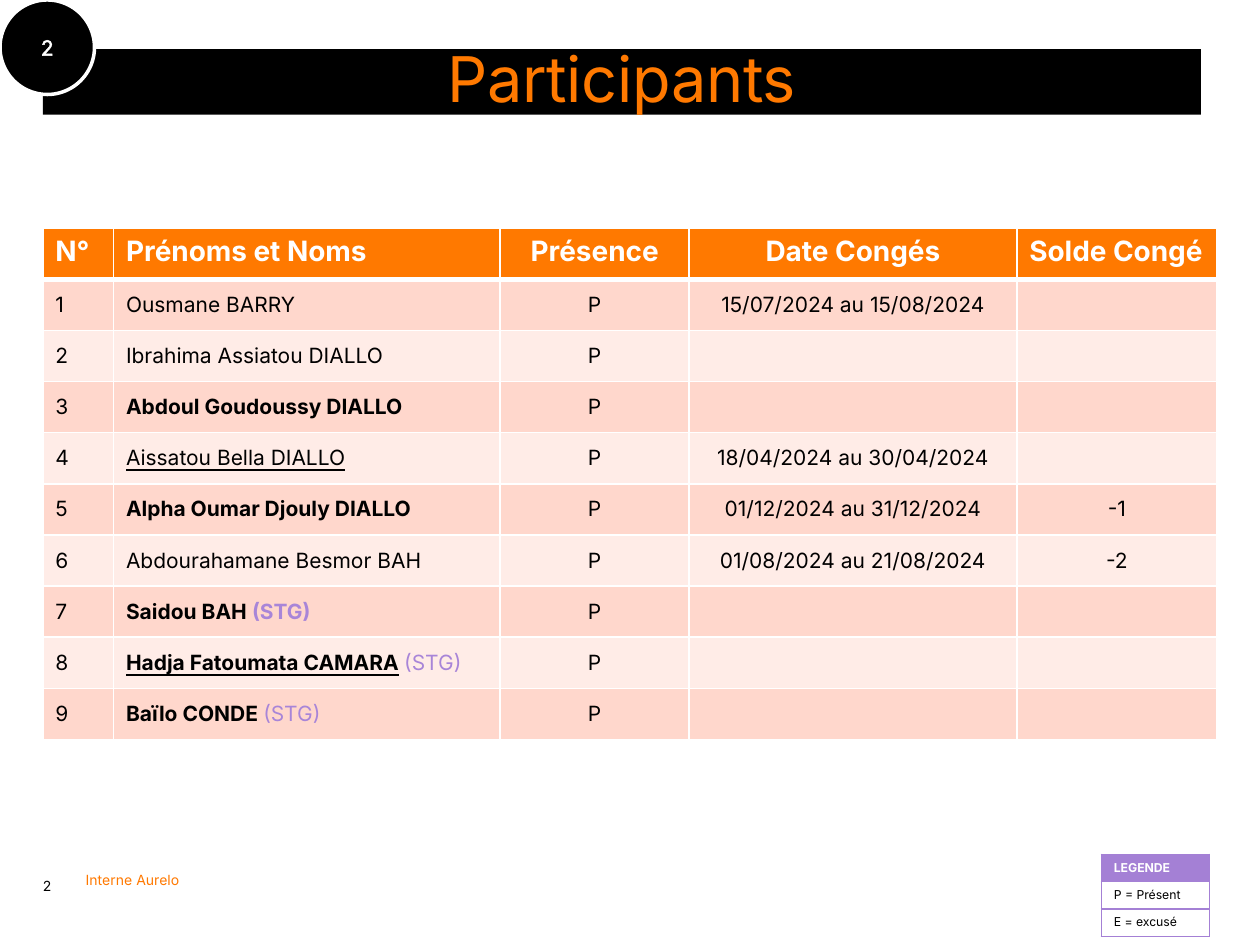
from lxml.etree import SubElement
from pptx import Presentation
from pptx.dml.color import RGBColor
from pptx.enum.shapes import MSO_SHAPE
from pptx.enum.text import MSO_ANCHOR, PP_ALIGN
from pptx.oxml import parse_xml
from pptx.oxml.ns import nsdecls, qn
from pptx.util import Inches, Pt

COLORS = {
    "black": "000000", "white": "FFFFFF", "orange": "FF7900",
    "dark_band": "FFD7CC", "light_band": "FFECE7",
    "trainee": "A885D8", "legend": "A480D5",
}


def add_run(paragraph, text, size, color="black", bold=False, underline=False):
    run = paragraph.add_run()
    run.text = text
    run.font.name = "Inter"
    run.font.size = Pt(size)
    run.font.bold = bold
    run.font.underline = underline
    run.font.color.rgb = RGBColor.from_string(COLORS[color])
    return run


def style_cell(cell, fill, border, width, bottom_width):
    properties = cell._tc.get_or_add_tcPr()
    for side in ("L", "R", "T", "B"):
        line = SubElement(properties, qn(f"a:ln{side}"))
        line.set("w", str(Pt(bottom_width if side == "B" else width)))
        line_fill = SubElement(line, qn("a:solidFill"))
        SubElement(line_fill, qn("a:srgbClr")).set("val", COLORS[border])
    if fill:
        cell.fill.solid()
        cell.fill.fore_color.rgb = RGBColor.from_string(COLORS[fill])
    else:
        cell.fill.background()


presentation = Presentation()
presentation.slide_width = Inches(10)
presentation.slide_height = Inches(7.5)
slide = presentation.slides.add_slide(presentation.slide_layouts[5])

title = slide.shapes.title
title.left, title.top = Inches(0.34), Inches(0.39)
title.width, title.height = Inches(9.19), Inches(0.52)
title.fill.solid()
title.fill.fore_color.rgb = RGBColor.from_string(COLORS["black"])
frame = title.text_frame
frame.margin_left = frame.margin_right = frame.margin_top = frame.margin_bottom = 0
frame.vertical_anchor = MSO_ANCHOR.MIDDLE
paragraph = frame.paragraphs[0]
paragraph.alignment = PP_ALIGN.CENTER
paragraph.line_spacing = 0.9
run = add_run(paragraph, "Participants", 36, "orange")
run.font._element.set("spc", "-20")

footers = [
    ("2", "black", 0.34, 6.61, 0.3, 0.49, MSO_ANCHOR.BOTTOM, 0.85, 12, True),
    ("Interne Aurelo", "orange", 0.68, 6.92, 0.81, 0.13, MSO_ANCHOR.TOP, 1, 0, False),
]
for text, color, left, top, width, height, anchor, spacing, after, wrap in footers:
    footer = slide.shapes.add_textbox(Inches(left), Inches(top), Inches(width), Inches(height))
    frame = footer.text_frame
    frame.word_wrap = wrap
    frame.margin_left = frame.margin_right = frame.margin_top = frame.margin_bottom = 0
    frame.vertical_anchor = anchor
    paragraph = frame.paragraphs[0]
    paragraph.line_spacing = spacing
    paragraph.space_after = Pt(after)
    add_run(paragraph, text, 8, color)

badge = slide.shapes.add_shape(MSO_SHAPE.OVAL, 0, 0, Inches(0.75), Inches(0.75))
badge.shadow.inherit = False
badge.fill.solid()
badge.fill.fore_color.rgb = RGBColor.from_string(COLORS["black"])
badge.line.color.rgb = RGBColor.from_string(COLORS["white"])
badge.line.width = Pt(2)
badge.text_frame.vertical_anchor = MSO_ANCHOR.MIDDLE
paragraph = badge.text_frame.paragraphs[0]
paragraph.alignment = PP_ALIGN.CENTER
run = add_run(paragraph, "2", 12, "white")
outline = parse_xml(
    f'<a:ln {nsdecls("a")} w="{Pt(0.75)}"><a:solidFill>'
    f'<a:srgbClr val="{COLORS["white"]}"/></a:solidFill></a:ln>'
)
run.font._element.insert(0, outline)

legend_lines = ["LEGENDE", "P = Présent", "E = excusé"]
legend = slide.shapes.add_table(
    len(legend_lines), 1, Inches(8.74), Inches(6.78), Inches(0.86), Inches(0.65)
).table
for index, text in enumerate(legend_lines):
    header = index == 0
    cell = legend.cell(index, 0)
    style_cell(cell, "legend" if header else None, "legend", 0.75, 0.75)
    add_run(cell.text_frame.paragraphs[0], text, 7, "white" if header else "black", header)

headers = ["N°", "Prénoms et Noms", "Présence", "Date Congés", "Solde Congé"]
column_widths = [0.56, 3.07, 1.5, 2.6, 1.59]
trainee = ("(STG)", "trainee")
participants = [
    ([("Ousmane BARRY",)], "15/07/2024 au 15/08/2024", ""),
    ([("Ibrahima Assiatou DIALLO",)], "", ""),
    ([("Abdoul Goudoussy DIALLO", "black", True)], "", ""),
    ([("Aissatou Bella DIALLO", "black", False, True)], "18/04/2024 au 30/04/2024", ""),
    ([("Alpha Oumar Djouly DIALLO", "black", True)], "01/12/2024 au 31/12/2024", "-1"),
    ([("Abdourahamane Besmor BAH",)], "01/08/2024 au 21/08/2024", "-2"),
    ([("Saidou BAH ", "black", True), (*trainee, True)], "", ""),
    ([("Hadja Fatoumata CAMARA", "black", True, True), (" ", "black", True), trainee], "", ""),
    ([("Baïlo CONDE ", "black", True), trainee], "", ""),
]
table = slide.shapes.add_table(
    len(participants) + 1, len(headers), Inches(0.34), Inches(1.81), Inches(9.31), Inches(4.06)
).table
for column, width in zip(table.columns, column_widths):
    column.width = Inches(width)

for column, text in enumerate(headers):
    cell = table.cell(0, column)
    style_cell(cell, "orange", "white", 1, 3)
    paragraph = cell.text_frame.paragraphs[0]
    if column in (2, 3):
        paragraph.alignment = PP_ALIGN.CENTER
    add_run(paragraph, text, 16, "white", True)

for number, (name_runs, leave_dates, balance) in enumerate(participants, start=1):
    band = "dark_band" if number % 2 else "light_band"
    row_runs = [[(str(number),)], name_runs, [("P",)], [(leave_dates,)], [(balance,)]]
    for column, cell_runs in enumerate(row_runs):
        cell = table.cell(number, column)
        style_cell(cell, band, "white", 1, 1)
        cell.vertical_anchor = MSO_ANCHOR.MIDDLE
        paragraph = cell.text_frame.paragraphs[0]
        if column >= 2:
            paragraph.alignment = PP_ALIGN.CENTER
        for text, *style in cell_runs:
            if text:
                add_run(paragraph, text, 12, *style)

presentation.save("out.pptx")
